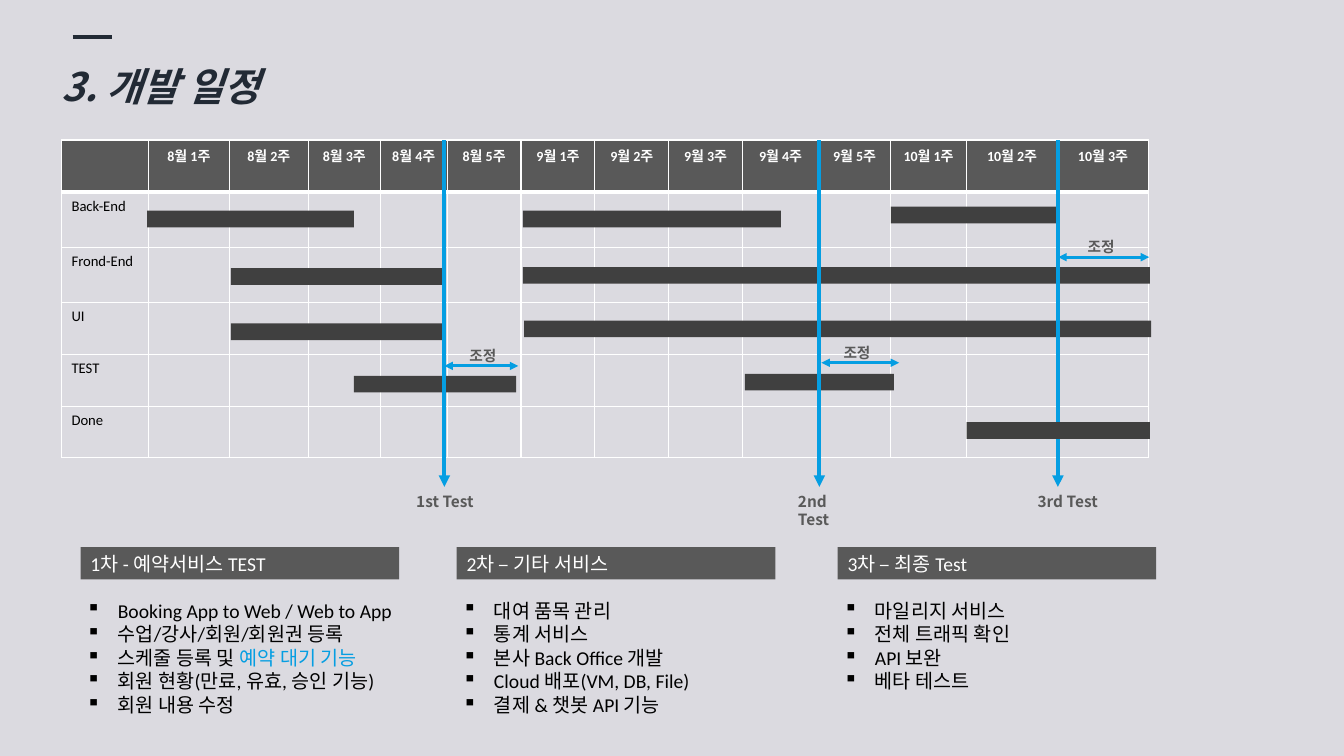
from pptx import Presentation
from pptx.dml.color import RGBColor
from pptx.enum.shapes import MSO_CONNECTOR as CONN, MSO_SHAPE as SHAPE
from pptx.enum.text import MSO_ANCHOR as ANCHOR, PP_ALIGN as ALIGN
from pptx.oxml.ns import qn
from pptx.util import Cm, Pt
from lxml.etree import SubElement

COLORS = {
    "background": "DBDAE0", "title": "222A35", "header": "595959",
    "bar": "404040", "accent": "059EE2", "white": "FFFFFF", "black": "000000",
}
BODY, HEADING = "Calibri", "Noto Sans CJK KR"

# Schedule grid
TABLE_X, TABLE_Y = 1.55, 3.53
COLUMNS = [2.19, 2.04, 1.99, 1.81, 1.69, 1.86, 1.86, 1.86, 1.86,
           1.92, 1.81, 1.92, 2.29, 2.29]
ROWS = [1.31, 1.39, 1.39, 1.31, 1.31, 1.29]
WEEKS = [f"{month}월 {week}주" for month, count in ((8, 5), (9, 5), (10, 3))
         for week in range(1, count + 1)]
TASKS = ["Back-End", "Frond-End", "UI", "TEST", "Done"]

# Work periods: left, top, width
BARS = [
    (3.71, 5.31, 5.21), (13.18, 5.31, 6.5), (22.45, 5.21, 4.22),
    (5.82, 6.76, 5.38), (13.18, 6.73, 15.8),
    (5.82, 8.15, 5.38), (13.21, 8.08, 15.8),
    (8.92, 9.47, 4.09), (18.77, 9.42, 3.76),
]
DONE_BAR = (24.36, 10.64, 4.62)

# Milestones: line x, label left, label; adjustments: from x, to x, y, label left
MILESTONES = [(11.2, 10.24, "1st Test"), (20.65, 19.86, "2nd Test"),
              (26.66, 25.9, "3rd Test")]
ADJUSTMENTS = [(11.2, 13.06, 9.22, 11.58), (20.7, 22.66, 9.14, 21.01),
               (26.67, 28.96, 6.48, 27.16)]

# Test phases: left, heading, items; an item is a list of (text, colour) runs
PHASES = [
    (2.03, "1차 - 예약서비스 TEST", [
        [("Booking App to Web / Web to App", "black")],
        [("수업/강사/회원/회원권 등록", "black")],
        [("스케줄 등록 및 ", "black"), ("예약 대기 기능", "accent")],
        [("회원 현황(만료, 유효, 승인 기능)", "black")],
        [("회원 내용 수정", "black")]]),
    (11.51, "2차 – 기타 서비스", [
        [("대여 품목 관리", "black")],
        [("통계 서비스", "black")],
        [("본사 Back Office 개발", "black")],
        [("Cloud 배포(VM, DB, File)", "black")],
        [("결제 & 챗봇 API 기능", "black")]]),
    (21.11, "3차 – 최종 Test", [
        [("마일리지 서비스", "black")],
        [("전체 트래픽 확인", "black")],
        [("API 보완", "black")],
        [("베타 테스트", "black")]]),
]


def rgb(name):
    return RGBColor.from_string(COLORS[name])


def style(p, size, color, font=BODY, bold=False, italic=False):
    p.font.size, p.font.name = Pt(size), font
    p.font.bold, p.font.italic = bold, italic
    p.font.color.rgb = rgb(color)


def add_text(slide, x, y, w, h, text, size, color, wrap=True, italic=False):
    tf = slide.shapes.add_textbox(Cm(x), Cm(y), Cm(w), Cm(h)).text_frame
    tf.word_wrap = wrap
    p = tf.paragraphs[0]
    p.text = text
    style(p, size, color, HEADING, bold=True, italic=italic)
    return p


def add_box(slide, x, y, w, h, color):
    sp = slide.shapes.add_shape(SHAPE.RECTANGLE, Cm(x), Cm(y), Cm(w), Cm(h))
    sp.shadow.inherit = False
    sp.fill.solid()
    sp.fill.fore_color.rgb = rgb(color)
    sp.line.fill.background()
    return sp


def add_bar(slide, x, y, w):
    add_box(slide, x, y, w, 0.42, "bar")


def add_line(slide, x1, y1, x2, y2, color, width, arrows=()):
    cn = slide.shapes.add_connector(CONN.STRAIGHT, Cm(x1), Cm(y1), Cm(x2), Cm(y2))
    cn.line.color.rgb = rgb(color)
    cn.line.width = Pt(width)
    for end in arrows:
        SubElement(cn.line._get_or_add_ln(), qn(f"a:{end}"), type="triangle")
    SubElement(cn._element.spPr, qn("a:effectLst"))


def set_borders(cell, top, bottom):
    tc_pr = cell._tc.get_or_add_tcPr()
    for side, width in (("L", 1), ("R", 1), ("T", top), ("B", bottom)):
        ln = SubElement(tc_pr, qn(f"a:ln{side}"), w=str(Pt(width)))
        fill = SubElement(ln, qn("a:solidFill"))
        SubElement(fill, qn("a:srgbClr"), val=COLORS["white"])


def add_schedule(slide):
    table = slide.shapes.add_table(
        len(ROWS), len(COLUMNS), Cm(TABLE_X), Cm(TABLE_Y),
        Cm(sum(COLUMNS)), Cm(sum(ROWS))).table
    table.horz_banding = False
    for column, width in zip(table.columns, COLUMNS):
        column.width = Cm(width)
    for i, height in enumerate(ROWS):
        table.rows[i].height = Cm(height)
        for j, cell in enumerate(table.rows[i].cells):
            set_borders(cell, 3 if i == 1 else 1, 3 if i == 0 else 1)
            cell.fill.solid()
            cell.fill.fore_color.rgb = rgb("background" if i else "header")
            p = cell.text_frame.paragraphs[0]
            if i == 0 and j > 0:
                p.text = WEEKS[j - 1]
                p.alignment = ALIGN.CENTER
                style(p, 10, "white", bold=True)
            elif i > 0 and j == 0:
                p.text = TASKS[i - 1]
                style(p, 10.5, "black")


def add_bullet(p):
    p_pr = p._p.get_or_add_pPr()
    p_pr.set("marL", str(Cm(0.79)))
    p_pr.set("indent", str(-Cm(0.79)))
    bullet = SubElement(p_pr, qn("a:buChar"), char="▪")
    p_pr.remove(bullet)
    p_pr.insert(0, bullet)


def add_phase(slide, x, heading, items):
    sp = add_box(slide, x, 13.79, 8.03, 0.81, "header")
    tf = sp.text_frame
    tf.vertical_anchor = ANCHOR.MIDDLE
    p = tf.paragraphs[0]
    p.text, p.alignment = heading, ALIGN.LEFT
    style(p, 14, "white")

    tf = slide.shapes.add_textbox(Cm(x - 0.1), Cm(14.96), Cm(9.65), Cm(2.62)).text_frame
    tf.word_wrap = True
    for i, runs in enumerate(items):
        p = tf.add_paragraph() if i else tf.paragraphs[0]
        style(p, 14, "black")
        add_bullet(p)
        for text, color in runs:
            r = p.add_run()
            r.text = text
            r.font.color.rgb = rgb(color)


def main():
    prs = Presentation()
    prs.slide_width, prs.slide_height = Cm(33.87), Cm(19.05)
    slide = prs.slides.add_slide(prs.slide_layouts[6])
    slide.background.fill.solid()
    slide.background.fill.fore_color.rgb = rgb("background")

    # Title
    p = add_text(slide, 1.3, 0.86, 10.92, 1.83, "3. 개발 일정", 28, "title", italic=True)
    p.line_spacing = 1.5
    add_line(slide, 1.83, 0.94, 2.82, 0.94, "title", 3)

    # Schedule
    add_schedule(slide)
    for bar in BARS:
        add_bar(slide, *bar)
    for x, label_x, label in MILESTONES:
        add_line(slide, x, TABLE_Y, x, 12.27, "accent", 2.75, ["tailEnd"])
        add_text(slide, label_x, 12.27, 2.06, 0.73, label, 11, "header", wrap=False)
    for x1, x2, y, label_x in ADJUSTMENTS:
        add_line(slide, x1, y, x2, y, "accent", 2, ["headEnd", "tailEnd"])
        add_text(slide, label_x, y - 0.61, 1.3, 0.73, "조정", 10.5, "header", wrap=False)
    add_bar(slide, *DONE_BAR)

    # Test phases
    for phase in PHASES:
        add_phase(slide, *phase)

    prs.save("out.pptx")


if __name__ == "__main__":
    main()
